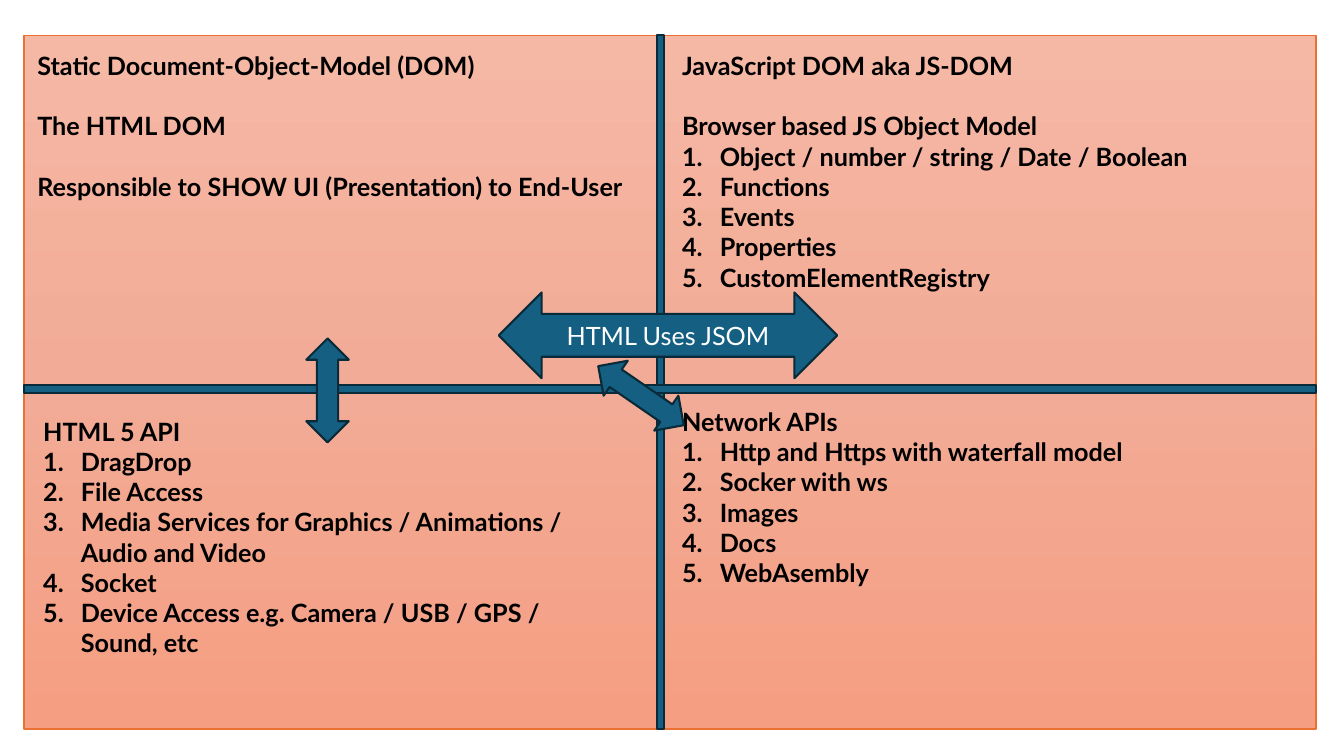
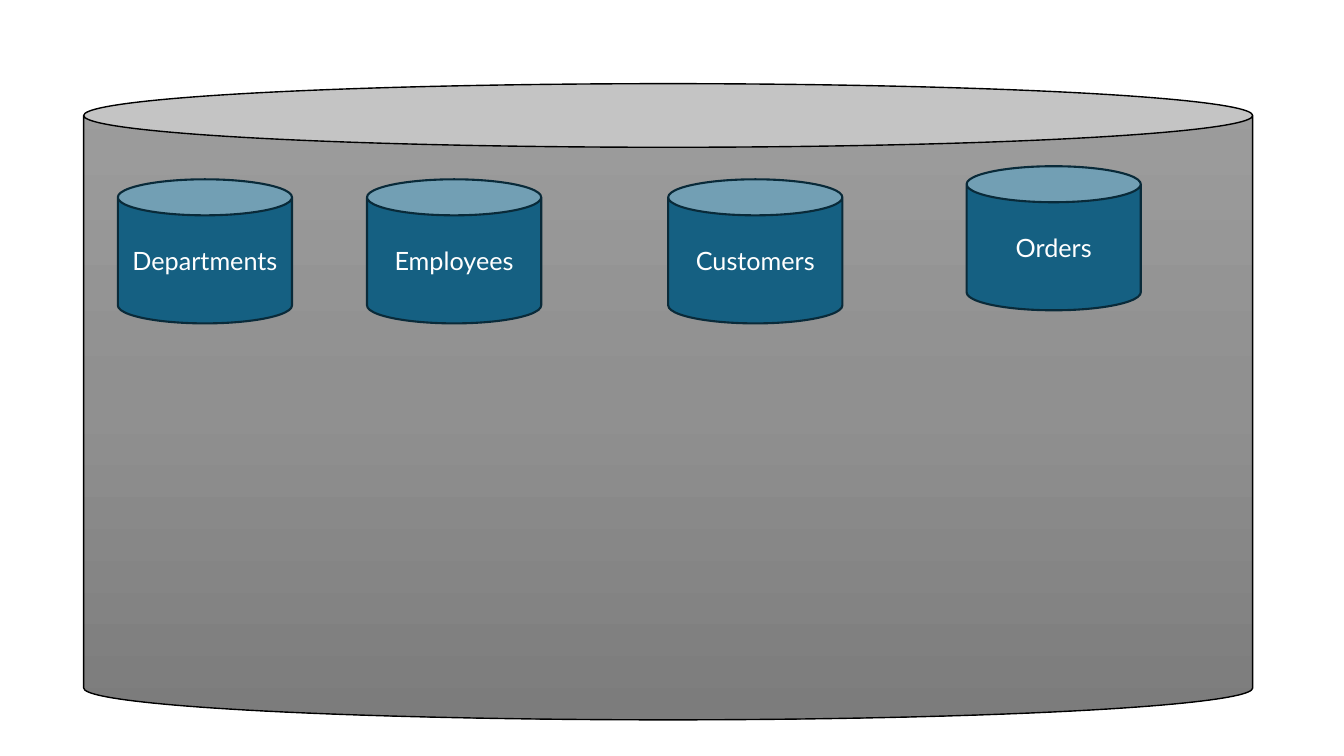
from copy import deepcopy
from dataclasses import dataclass
from typing import NamedTuple

from pptx import Presentation
from pptx.dml.color import RGBColor
from pptx.enum.shapes import MSO_SHAPE as Shp
from pptx.enum.text import MSO_ANCHOR, MSO_AUTO_SIZE, PP_ALIGN
from pptx.oxml.ns import qn
from pptx.util import Cm, Pt

# Shared colours and formats
BLACK = RGBColor(0x00, 0x00, 0x00)
WHITE = RGBColor(0xFF, 0xFF, 0xFF)
TEAL = RGBColor(0x15, 0x60, 0x82)
TEAL_DARK = RGBColor(0x09, 0x2A, 0x39)
ORANGE = RGBColor(0xE9, 0x71, 0x32)
ORANGE_FADE = (RGBColor(0xF5, 0xB8, 0xA5), RGBColor(0xF2, 0xAB, 0x96),
               RGBColor(0xF5, 0x9E, 0x82))
GREY_FADE = (RGBColor(0x9D, 0x9D, 0x9D), RGBColor(0x90, 0x90, 0x90),
             RGBColor(0x7C, 0x7C, 0x7C))

BODY_FONT = {"name": "Lato", "size": Pt(18), "bold": True}
LABEL_FONT = {"name": "Lato", "size": Pt(18), "bold": False}
BODY_FRAME = {"word_wrap": True, "auto_size": MSO_AUTO_SIZE.SHAPE_TO_FIT_TEXT}
LABEL_FRAME = {"word_wrap": True, "vertical_anchor": MSO_ANCHOR.MIDDLE}
HEADING_GAP = Pt(21.6)
NUMBER_INDENT = Cm(0.95)


class Box(NamedTuple):
    """Left, top, width and height in centimetres."""
    x: float
    y: float
    w: float
    h: float

    def lengths(self) -> list:
        return [Cm(v) for v in self]


@dataclass
class Quadrant:
    box: Box
    headings: tuple
    items: tuple = ()


@dataclass
class Table:
    name: str
    x: float
    y: float = 4.52


PANEL = Box(0.61, 0.89, 32.56, 17.48)
DIVIDERS = (Box(16.56, PANEL.y, 0.18, PANEL.h), Box(PANEL.x, 9.7, PANEL.w, 0.2))
QUADRANTS = (
    Quadrant(Box(0.69, 1.14, 15.27, 5.64),
             ("Static Document-Object-Model (DOM)", "The HTML DOM",
              "Responsible to SHOW UI (Presentation) to End-User")),
    Quadrant(Box(16.94, 1.14, 15.75, 6.4),
             ("JavaScript DOM aka JS-DOM", "Browser based JS Object Model"),
             ("Object / number / string / Date / Boolean", "Functions", "Events",
              "Properties", "CustomElementRegistry")),
    Quadrant(Box(0.84, 10.36, 14.91, 6.4), ("HTML 5 API",),
             ("DragDrop", "File Access",
              "Media Services for Graphics / Animations / Audio and Video",
              "Socket", "Device Access e.g. Camera / USB / GPS / Sound, etc")),
    Quadrant(Box(16.94, 10.11, 16.08, 4.88), ("Network APIs",),
             ("Http and Https with waterfall model", "Socker with ws", "Images",
              "Docs", "WebAsembly")),
)
DATABASE = Box(2.11, 2.11, 29.46, 16.03)
TABLES = (Table("Departments", 2.97), Table("Employees", 9.25),
          Table("Customers", 16.84), Table("Orders", 24.36, 4.19))


def apply(target, formats: dict) -> None:
    for key, value in formats.items():
        setattr(target, key, value)


def write(p, text: str, formats: dict, color: RGBColor) -> None:
    r = p.add_run()
    r.text = text
    apply(r.font, formats)
    r.font.color.rgb = color


def add_shape(s, kind, box: Box, line=TEAL_DARK, width: float = 1.5):
    sp = s.shapes.add_shape(kind, *box.lengths())
    sp.shadow.inherit = False
    sp.fill.solid()
    sp.fill.fore_color.rgb = TEAL
    sp.line.color.rgb = line
    sp.line.width = Pt(width)
    return sp


def add_label(sp, text: str) -> None:
    tf = sp.text_frame
    apply(tf, LABEL_FRAME)
    p = tf.paragraphs[0]
    p.alignment = PP_ALIGN.CENTER
    write(p, text, LABEL_FONT, WHITE)


def fade(sp, colors: tuple) -> None:
    """Fill from top to bottom with evenly spaced colours."""
    sp.fill.gradient()
    sp.fill.gradient_angle = 270
    stops = sp._element.spPr.find(qn("a:gradFill")).find(qn("a:gsLst"))
    while len(stops) < len(colors):
        stops.append(deepcopy(stops[0]))
    for i, (stop, color) in enumerate(zip(sp.fill.gradient_stops, colors)):
        stop.position = i / (len(colors) - 1)
        stop.color.rgb = color


def number(p) -> None:
    pPr = p._p.get_or_add_pPr()
    pPr.set("marL", str(NUMBER_INDENT))
    pPr.set("indent", str(-NUMBER_INDENT))
    bullet = pPr.makeelement(qn("a:buAutoNum"), {"type": "arabicPeriod"})
    pPr.append(bullet)


def add_quadrant(s, quadrant: Quadrant) -> None:
    tf = s.shapes.add_textbox(*quadrant.box.lengths()).text_frame
    apply(tf, BODY_FRAME)
    for i, text in enumerate(quadrant.headings + quadrant.items):
        p = tf.add_paragraph() if i else tf.paragraphs[0]
        if i >= len(quadrant.headings):
            number(p)
        elif i:
            p.space_before = HEADING_GAP
        write(p, text, BODY_FONT, BLACK)


def build_browser(s) -> None:
    # Panel split into four
    fade(add_shape(s, Shp.FLOWCHART_PROCESS, PANEL, ORANGE, 1), ORANGE_FADE)
    for box in DIVIDERS:
        add_shape(s, Shp.RECTANGLE, box)
    for quadrant in QUADRANTS:
        add_quadrant(s, quadrant)
    # Arrows between the quadrants
    add_label(add_shape(s, Shp.LEFT_RIGHT_ARROW, Box(12.57, 7.37, 8.53, 2.16)),
              "HTML Uses JSOM")
    for x, y, angle in ((7.72, 8.53, 0), (15.62, 8.66, 304.6)):
        add_shape(s, Shp.UP_DOWN_ARROW, Box(x, y, 1.07, 2.62)).rotation = angle


def build_database(s) -> None:
    # Database holding its tables
    database = add_shape(s, Shp.CAN, DATABASE, BLACK, 1)
    database.adjustments[0] = 0.1
    fade(database, GREY_FADE)
    for table in TABLES:
        add_label(add_shape(s, Shp.CAN, Box(table.x, table.y, 4.39, 3.63)),
                  table.name)


def main() -> None:
    prs = Presentation()
    prs.slide_width, prs.slide_height = Cm(33.87), Cm(19.05)
    for build in (build_browser, build_database):
        build(prs.slides.add_slide(prs.slide_layouts[6]))
    prs.save("out.pptx")


if __name__ == "__main__":
    main()
